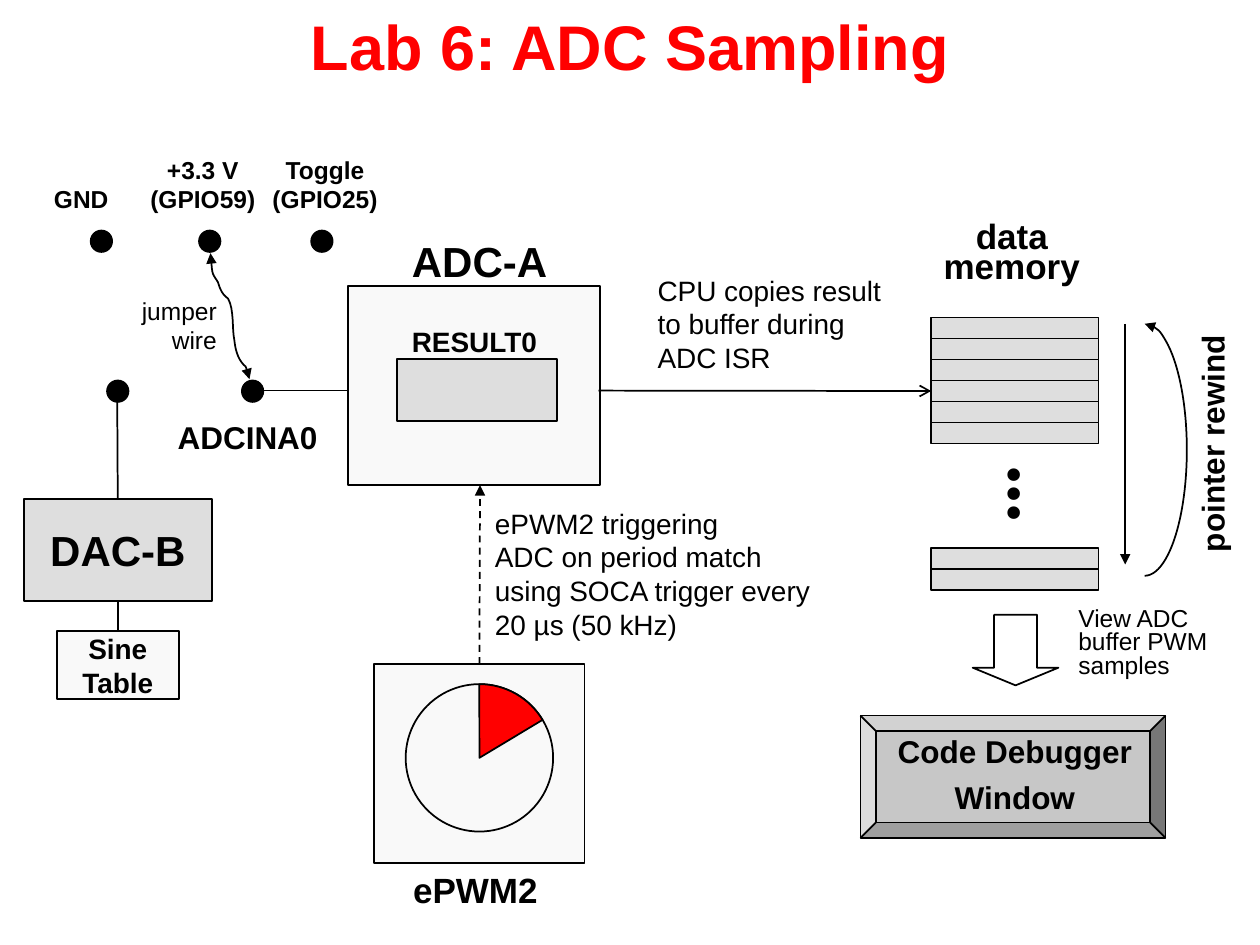
from lxml import etree
from pptx import Presentation
from pptx import util as u
from pptx.dml.color import RGBColor
from pptx.enum import dml, shapes, text
from pptx.oxml.ns import qn

BLACK = RGBColor(0x00, 0x00, 0x00)
RED = RGBColor(0xFF, 0x00, 0x00)
PALE = RGBColor(0xF9, 0xF9, 0xF9)
GRAY = RGBColor(0xDE, 0xDE, 0xDE)
PANEL = RGBColor(0xC7, 0xC7, 0xC7)

SHAPE = shapes.MSO_SHAPE
ALIGN = text.PP_ALIGN
LEFT, CENTER, RIGHT = ALIGN.LEFT, ALIGN.CENTER, ALIGN.RIGHT
ANGLE_UNIT = 0.6
CELL_W, CELL_H = 1.33, 1 / 6
MEMORY_X = 7.39
DOT = 0.17

WIRE_START = (1.67, 2.01)
WIRE_CURVES = [
    ((1.69, 2.18), (1.67, 2.15), (1.73, 2.24)),
    ((1.75, 2.31), (1.77, 2.34), (1.81, 2.37)),
    ((1.86, 2.46), (1.84, 2.6), (1.86, 2.7)),
    ((1.87, 2.8), (1.9, 2.87), (1.95, 2.91)),
    ((1.96, 2.94), (1.98, 2.98), (1.98, 3.01)),
]


def write(tf, lines, size, bold=True, align=LEFT, color=BLACK, wrap=False,
          spacing=None, before=0):
    tf.word_wrap = wrap
    tf.auto_size = text.MSO_AUTO_SIZE.SHAPE_TO_FIT_TEXT
    for i, line in enumerate(lines):
        p = tf.add_paragraph() if i else tf.paragraphs[0]
        p.alignment = align
        if spacing:
            p.line_spacing = spacing
        if i and before:
            p.space_before = u.Pt(before)
        r = p.add_run()
        r.text = line
        r.font.name = "Arial"
        r.font.size = u.Pt(size)
        r.font.bold = bold
        r.font.color.rgb = color


def add_label(s, box, lines, size, rotation=0, **style):
    sp = s.shapes.add_textbox(*map(u.Inches, box))
    sp.rotation = rotation
    write(sp.text_frame, lines, size, **style)
    return sp


def set_line(sp, heads=()):
    sp.line.color.rgb = BLACK
    sp.line.width = u.Pt(1)
    ln = sp.line._get_or_add_ln()
    for end, kind in heads:
        etree.SubElement(ln, qn(f"a:{end}"), type=kind)


def add_box(s, kind, box, fill=None, adjustments=(), heads=()):
    sp = s.shapes.add_shape(kind, *map(u.Inches, box))
    sp.shadow.inherit = False
    for i, value in enumerate(adjustments):
        sp.adjustments[i] = value
    if fill is None:
        sp.fill.background()
    else:
        sp.fill.solid()
        sp.fill.fore_color.rgb = fill
    set_line(sp, heads)
    return sp


def add_dot(s, x, y):
    return add_box(s, SHAPE.OVAL, (x, y, DOT, DOT), BLACK)


def add_cells(s, top, count):
    return [add_box(s, SHAPE.RECTANGLE,
                    (MEMORY_X, top + i * CELL_H, CELL_W, CELL_H), GRAY)
            for i in range(count)]


def add_block(s, box, fill, lines, size, margin_y):
    sp = add_box(s, SHAPE.RECTANGLE, box, fill)
    tf = sp.text_frame
    tf.margin_left = tf.margin_right = u.Inches(0.2)
    tf.margin_top = tf.margin_bottom = u.Inches(margin_y)
    tf.vertical_anchor = text.MSO_ANCHOR.MIDDLE
    write(tf, lines, size, align=CENTER)
    return sp


def add_line(s, start, end, tail=None, dashed=False, begin_at=None, end_at=None):
    c = s.shapes.add_connector(shapes.MSO_CONNECTOR.STRAIGHT,
                               *map(u.Inches, start + end))
    if begin_at:
        c.begin_connect(*begin_at)
    if end_at:
        c.end_connect(*end_at)
    if dashed:
        c.line.dash_style = dml.MSO_LINE.DASH
    set_line(c, [("tailEnd", tail)] if tail else ())
    etree.SubElement(c._element.spPr, qn("a:effectLst"))
    return c


def bezier_points(start, curves, steps=8):
    points = []
    for a, b, end in curves:
        for i in range(1, steps + 1):
            t = i / steps
            points.append(tuple(
                (1 - t) ** 3 * p0 + 3 * (1 - t) ** 2 * t * p1
                + 3 * (1 - t) * t ** 2 * p2 + t ** 3 * p3
                for p0, p1, p2, p3 in zip(start, a, b, end)))
        start = end
    return points


def add_wire(s, start, curves):
    builder = s.shapes.build_freeform(*map(u.Inches, start))
    builder.add_line_segments(
        [(u.Inches(x), u.Inches(y)) for x, y in bezier_points(start, curves)],
        close=False)
    sp = builder.convert_to_shape()
    sp.shadow.inherit = False
    sp.fill.background()
    set_line(sp, [("headEnd", "triangle"), ("tailEnd", "triangle")])


def add_inputs(s):
    for x in (0.72, 1.58, 2.47):
        add_dot(s, x, 1.83)
    for x in (0.85, 1.92):
        add_dot(s, x, 3.02)
    add_label(s, (0.33, 1.41, 0.63, 0.33), ["GND"], 14, align=CENTER)
    add_label(s, (1.09, 1.18, 1.04, 0.57), ["+3.3 V", "(GPIO59)"], 14, align=CENTER)
    add_label(s, (2.06, 1.18, 1.04, 0.57), ["Toggle", "(GPIO25)"], 14, align=CENTER)
    add_wire(s, WIRE_START, WIRE_CURVES)
    add_label(s, (1.02, 2.3, 0.8, 0.57), ["jumper", "wire"], 14, bold=False, align=RIGHT)
    add_label(s, (1.31, 3.27, 1.31, 0.4), ["ADCINA0"], 18, align=CENTER)


def add_dac(s):
    dac = add_block(s, (0.19, 3.96, 1.49, 0.81), GRAY, ["DAC-B"], 24, 0.2)
    sine = add_block(s, (0.45, 5.01, 0.97, 0.54), PALE, ["Sine", "Table"], 16, 0)
    add_line(s, (0.93, 3.1), (0.93, 3.96), end_at=(dac, 0))
    add_line(s, (0.94, 4.77), (0.94, 5.01), begin_at=(dac, 2), end_at=(sine, 0))


def add_adc(s):
    add_box(s, SHAPE.RECTANGLE, (2.76, 2.27, 2, 1.58), PALE)
    add_box(s, SHAPE.RECTANGLE, (3.15, 2.85, 1.27, 0.49), GRAY)
    add_label(s, (3.17, 1.82, 1.29, 0.5), ["ADC-A"], 24)
    add_label(s, (3.17, 2.53, 1.21, 0.37), ["RESULT0"], 16)
    add_line(s, (2.08, 3.1), (2.76, 3.1))
    add_label(s, (5.12, 2.12, 1.98, 0.9),
              ["CPU copies result", "to buffer during", "ADC ISR"], 16, bold=False)


def add_pwm(s):
    pwm = add_box(s, SHAPE.RECTANGLE, (2.97, 5.27, 1.67, 1.58), PALE)
    clock = (3.22, 5.43, 1.17, 1.17)
    add_box(s, SHAPE.OVAL, clock)
    add_box(s, SHAPE.PIE, clock, RED, (270 * ANGLE_UNIT, 329 * ANGLE_UNIT))
    add_label(s, (3.18, 6.84, 1.19, 0.43), ["ePWM2"], 20)
    add_line(s, (3.81, 5.27), (3.81, 3.85), "triangle", dashed=True, begin_at=(pwm, 0))
    add_label(s, (3.83, 3.97, 2.83, 1.17),
              ["ePWM2 triggering",
               "ADC on period match using SOCA trigger every 20 µs (50 kHz)"],
              16, bold=False, wrap=True)


def add_memory(s):
    cells = add_cells(s, 2.52, 6)
    add_cells(s, 4.35, 2)
    add_line(s, (4.75, 3.1), (MEMORY_X, 3.1), "arrow", end_at=(cells[3], 1))
    dots = add_label(s, (7.92, 3.51, 0.66, 0.83), ["..."], 44, rotation=90)
    dots.text_frame.paragraphs[0].runs[0].font.name = "Times New Roman"
    title = add_label(s, (7.39, 1.65, 1.28, 0.67), ["data", "memory"], 20, align=CENTER)
    title.text_frame.paragraphs[1].line_spacing = 0.7
    add_line(s, (8.93, 2.57), (8.93, 4.48), "triangle")
    add_box(s, SHAPE.ARC, (8.75, 2.57, 0.67, 2),
            adjustments=(270 * ANGLE_UNIT, 90 * ANGLE_UNIT),
            heads=[("headEnd", "triangle")])
    add_label(s, (8.66, 3.32, 1.92, 0.4), ["pointer rewind"], 18, rotation=270)


def add_viewer(s):
    add_box(s, SHAPE.DOWN_ARROW, (7.72, 4.88, 0.68, 0.56), adjustments=(0.5, 0.25))
    add_label(s, (8.46, 4.78, 1.29, 0.67), ["View ADC buffer PWM samples"], 14,
              bold=False, wrap=True, spacing=0.8)
    add_box(s, SHAPE.BEVEL, (6.83, 5.68, 2.42, 0.97), PANEL, (0.125,))
    add_label(s, (6.99, 5.82, 2.13, 0.73), ["Code Debugger", "Window"], 18,
              align=CENTER, spacing=0.8, before=9)


def main():
    prs = Presentation()
    prs.slide_width, prs.slide_height = u.Inches(10), u.Inches(7.5)
    s = prs.slides.add_slide(prs.slide_layouts[6])
    add_label(s, (0, 0.01, 10, 0.67), ["Lab 6: ADC Sampling"], 36,
              align=CENTER, color=RED, wrap=True)
    for add_part in (add_inputs, add_dac, add_adc, add_pwm, add_memory, add_viewer):
        add_part(s)
    prs.save("out.pptx")


if __name__ == "__main__":
    main()
